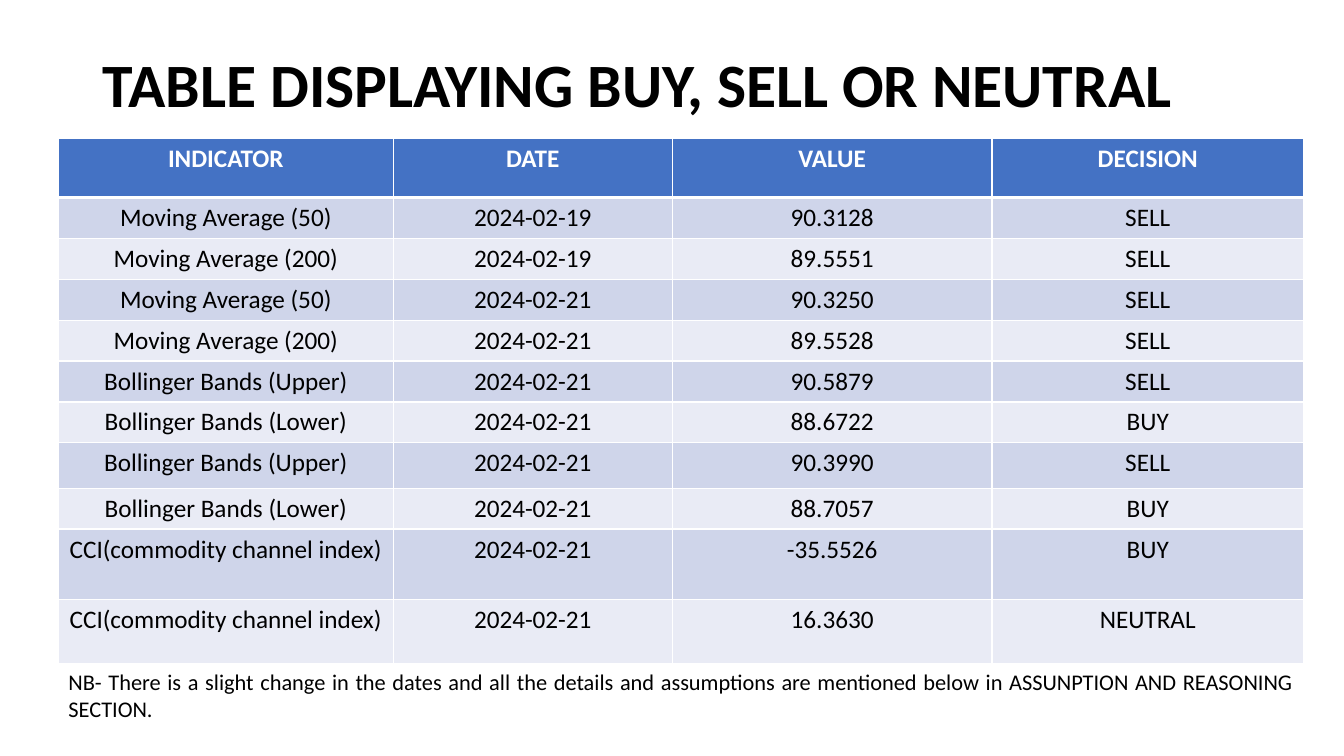
from dataclasses import dataclass

from lxml import etree
from pptx import Presentation
from pptx import util as u
from pptx.dml.color import RGBColor
from pptx.enum import text
from pptx.oxml import ns

TITLE = "TABLE DISPLAYING BUY, SELL OR NEUTRAL"
HEADER = ("INDICATOR", "DATE", "VALUE", "DECISION")
READINGS = [
    ("Moving Average (50)", "2024-02-19", "90.3128", "SELL"),
    ("Moving Average (200)", "2024-02-19", "89.5551", "SELL"),
    ("Moving Average (50)", "2024-02-21", "90.3250", "SELL"),
    ("Moving Average (200)", "2024-02-21", "89.5528", "SELL"),
    ("Bollinger Bands (Upper)", "2024-02-21", "90.5879", "SELL"),
    ("Bollinger Bands (Lower)", "2024-02-21", "88.6722", "BUY"),
    ("Bollinger Bands (Upper)", "2024-02-21", "90.3990", "SELL"),
    ("Bollinger Bands (Lower)", "2024-02-21", "88.7057", "BUY"),
    ("CCI(commodity channel index)", "2024-02-21", "-35.5526", "BUY"),
    ("CCI(commodity channel index)", "2024-02-21", "16.3630", "NEUTRAL"),
]
NOTE = (
    "NB- There is a slight change in the dates and all the details and assumptions "
    "are mentioned below in ASSUNPTION AND REASONING SECTION."
)

SLIDE_SIZE = (13.33, 7.5)
TITLE_BOX = (0.92, 0.4, 11.5, 0.94)
TABLE_LEFT, TABLE_TOP = 0.58, 1.37
COLUMN_WIDTHS = (3.32, 2.77, 3.17, 3.09)
ROW_HEIGHTS = [0.59] + [0.4] * 6 + [0.45, 0.4, 0.7, 0.63]
NOTE_TOP, NOTE_HEIGHT = 6.58, 0.64


@dataclass(frozen=True)
class Theme:
    font: str = "Calibri"
    ink: str = "000000"
    paper: str = "FFFFFF"
    header: str = "4472C4"
    bands: tuple = ("CFD5EA", "E9EBF5")
    title_size: int = 44
    table_size: int = 18
    note_size: int = 16
    rule: int = 1
    header_rule: int = 3


THEME = Theme()


def write(frame, content, size, color=THEME.ink, bold=False,
          align=text.PP_ALIGN.LEFT, spacing=1.0):
    paragraph = frame.paragraphs[0]
    paragraph.alignment = align
    paragraph.line_spacing = spacing
    run = paragraph.add_run()
    run.text = content
    run.font.name = THEME.font
    run.font.size = u.Pt(size)
    run.font.bold = bold
    run.font.color.rgb = RGBColor.from_string(color)


def add_borders(cell, widths):
    properties = cell._tc.get_or_add_tcPr()
    for side, width in widths.items():
        line = etree.SubElement(properties, ns.qn(f"a:ln{side}"), w=str(u.Pt(width)))
        fill = etree.SubElement(line, ns.qn("a:solidFill"))
        etree.SubElement(fill, ns.qn("a:srgbClr"), val=THEME.paper)


def add_title(slide):
    title = slide.shapes.title
    title.left, title.top, title.width, title.height = map(u.Inches, TITLE_BOX)
    title.text_frame.vertical_anchor = text.MSO_ANCHOR.MIDDLE
    write(title.text_frame, TITLE, THEME.title_size, bold=True, spacing=0.9)


def add_readings(slide):
    rows = [HEADER] + READINGS
    box = (TABLE_LEFT, TABLE_TOP, sum(COLUMN_WIDTHS), sum(ROW_HEIGHTS))
    table = slide.shapes.add_table(len(rows), len(HEADER), *map(u.Inches, box)).table
    for column, width in zip(table.columns, COLUMN_WIDTHS):
        column.width = u.Inches(width)
    for index, (row, height, values) in enumerate(zip(table.rows, ROW_HEIGHTS, rows)):
        row.height = u.Inches(height)
        is_header = index == 0
        fill = THEME.header if is_header else THEME.bands[(index - 1) % 2]
        borders = dict.fromkeys("LRTB", THEME.rule)
        if is_header:
            borders["B"] = THEME.header_rule
        elif index == 1:
            borders["T"] = THEME.header_rule
        for cell, value in zip(row.cells, values):
            add_borders(cell, borders)
            cell.fill.solid()
            cell.fill.fore_color.rgb = RGBColor.from_string(fill)
            write(cell.text_frame, value, THEME.table_size, bold=is_header,
                  color=THEME.paper if is_header else THEME.ink,
                  align=text.PP_ALIGN.CENTER)


def add_note(slide):
    box = (TABLE_LEFT, NOTE_TOP, sum(COLUMN_WIDTHS), NOTE_HEIGHT)
    frame = slide.shapes.add_textbox(*map(u.Inches, box)).text_frame
    frame.word_wrap = True
    frame.auto_size = text.MSO_AUTO_SIZE.SHAPE_TO_FIT_TEXT
    write(frame, NOTE, THEME.note_size, align=text.PP_ALIGN.JUSTIFY)


def main():
    presentation = Presentation()
    presentation.slide_width, presentation.slide_height = map(u.Inches, SLIDE_SIZE)
    slide = presentation.slides.add_slide(presentation.slide_layouts.get_by_name("Title Only"))
    add_title(slide)
    add_readings(slide)
    add_note(slide)
    presentation.save("out.pptx")


if __name__ == "__main__":
    main()
